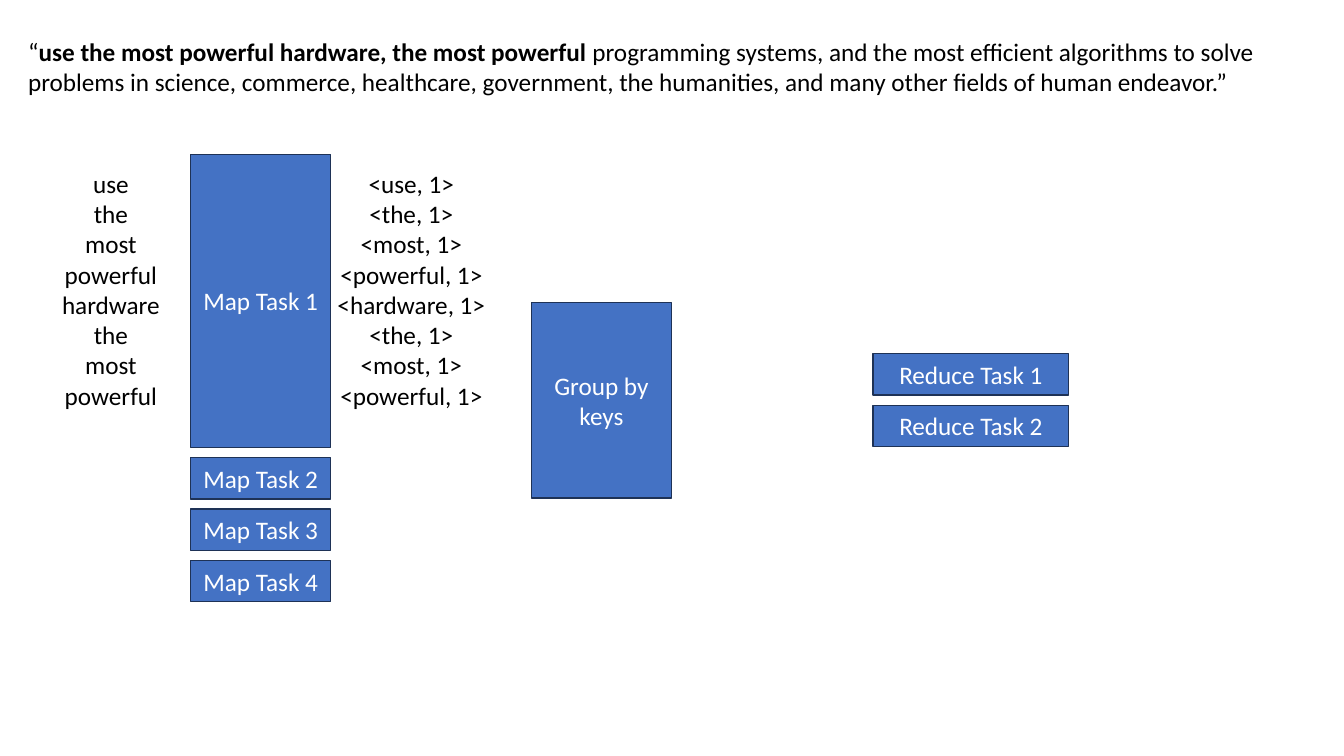
from pptx import Presentation
from pptx.dml.color import RGBColor
from pptx.enum.shapes import MSO_SHAPE
from pptx.enum.text import MSO_ANCHOR, MSO_AUTO_SIZE, PP_ALIGN
from pptx.util import Pt

PX = 9144
BLUE = RGBColor(0x44, 0x72, 0xC4)
NAVY = RGBColor(0x1E, 0x32, 0x56)
BLACK = RGBColor(0, 0, 0)
WHITE = RGBColor(0xFF, 0xFF, 0xFF)
FONT = "Calibri"
FONT_SIZE = Pt(18)
RECTANGLE = MSO_SHAPE.RECTANGLE
MIDDLE = MSO_ANCHOR.MIDDLE
CENTER = PP_ALIGN.CENTER
LEFT = PP_ALIGN.LEFT
FIT_SHAPE = MSO_AUTO_SIZE.SHAPE_TO_FIT_TEXT

TASK_HEIGHT = 41
TASK_GAP = 10
WORDS = ["use", "the", "most", "powerful", "hardware", "the", "most", "powerful"]
QUOTE = [
    ("“", False),
    ("use the most powerful hardware, the most powerful ", True),
    ("programming systems, and the most efficient algorithms to solve problems in "
     "science, commerce, healthcare, government, the humanities, and many other "
     "fields of human endeavor.”", False),
]


def scaled(box):
    """Turn a px box into EMU."""
    return [length * PX for length in box]


def add_run(paragraph, text, color, bold=False):
    """Append one formatted run to a paragraph."""
    run = paragraph.add_run()
    run.text = text
    run.font.name = FONT
    run.font.size = FONT_SIZE
    run.font.bold = bold
    run.font.color.rgb = color


def add_text(slide, box, lines, alignment, wrap):
    """Place a text box whose lines are lists of (text, bold) runs."""
    frame = slide.shapes.add_textbox(*scaled(box)).text_frame
    frame.word_wrap = wrap
    frame.auto_size = FIT_SHAPE
    for index, runs in enumerate(lines):
        paragraph = frame.add_paragraph() if index else frame.paragraphs[0]
        paragraph.alignment = alignment
        for text, bold in runs:
            add_run(paragraph, text, BLACK, bold)


def add_block(slide, box, label):
    """Place a blue rectangle with a centred label."""
    shape = slide.shapes.add_shape(RECTANGLE, *scaled(box))
    shape.shadow.inherit = False
    shape.fill.solid()
    shape.fill.fore_color.rgb = BLUE
    shape.line.color.rgb = NAVY
    shape.line.width = Pt(1)
    frame = shape.text_frame
    frame.word_wrap = True
    frame.vertical_anchor = MIDDLE
    paragraph = frame.paragraphs[0]
    paragraph.alignment = CENTER
    add_run(paragraph, label, WHITE)


def add_tasks(slide, left, top, width, name, heights):
    """Stack numbered task blocks downwards with equal gaps."""
    for number, height in enumerate(heights, 1):
        add_block(slide, (left, top, width, height), f"{name} Task {number}")
        top += height + TASK_GAP


def add_words(slide, box, pattern):
    """List every word of the first map task, one a line."""
    lines = [[(pattern.format(word), False)] for word in WORDS]
    add_text(slide, box, lines, CENTER, False)


def add_map_stage(slide, left, top):
    """Place the map tasks between their input words and output pairs."""
    add_tasks(slide, left + 138, top, 139, "Map", [291] + [TASK_HEIGHT] * 3)
    add_words(slide, (left, top + 9, 118, 252), "{}")
    add_words(slide, (left + 270, top + 9, 174, 252), "<{}, 1>")


def main():
    """Build the word count slide and save it."""
    presentation = Presentation()
    presentation.slide_width = 1333 * PX
    presentation.slide_height = 750 * PX
    slide = presentation.slides.add_slide(presentation.slide_layouts[6])
    add_text(slide, (18, 31, 1282, 71), [QUOTE], LEFT, True)
    add_map_stage(slide, 51, 153)
    add_block(slide, (527, 300, 139, 194), "Group by keys")
    add_tasks(slide, 866, 351, 194, "Reduce", [TASK_HEIGHT] * 2)
    presentation.save("out.pptx")


if __name__ == "__main__":
    main()
